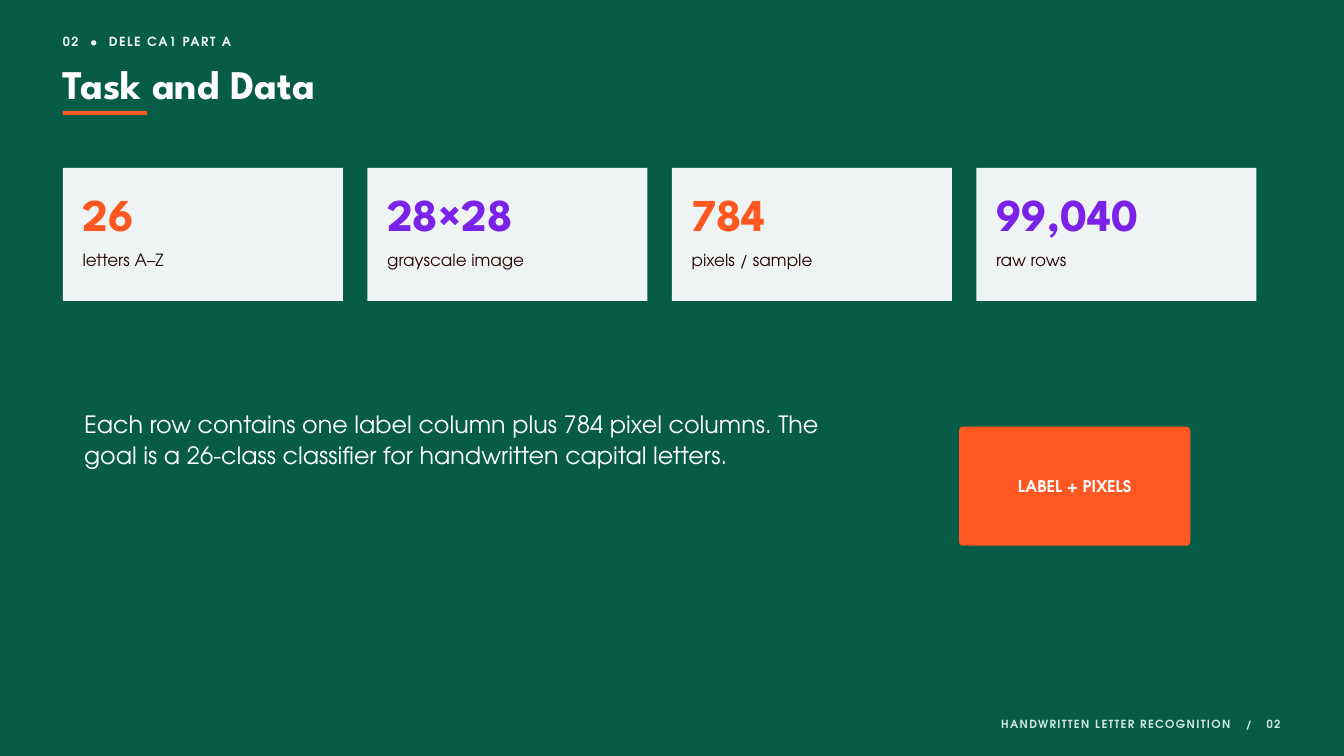
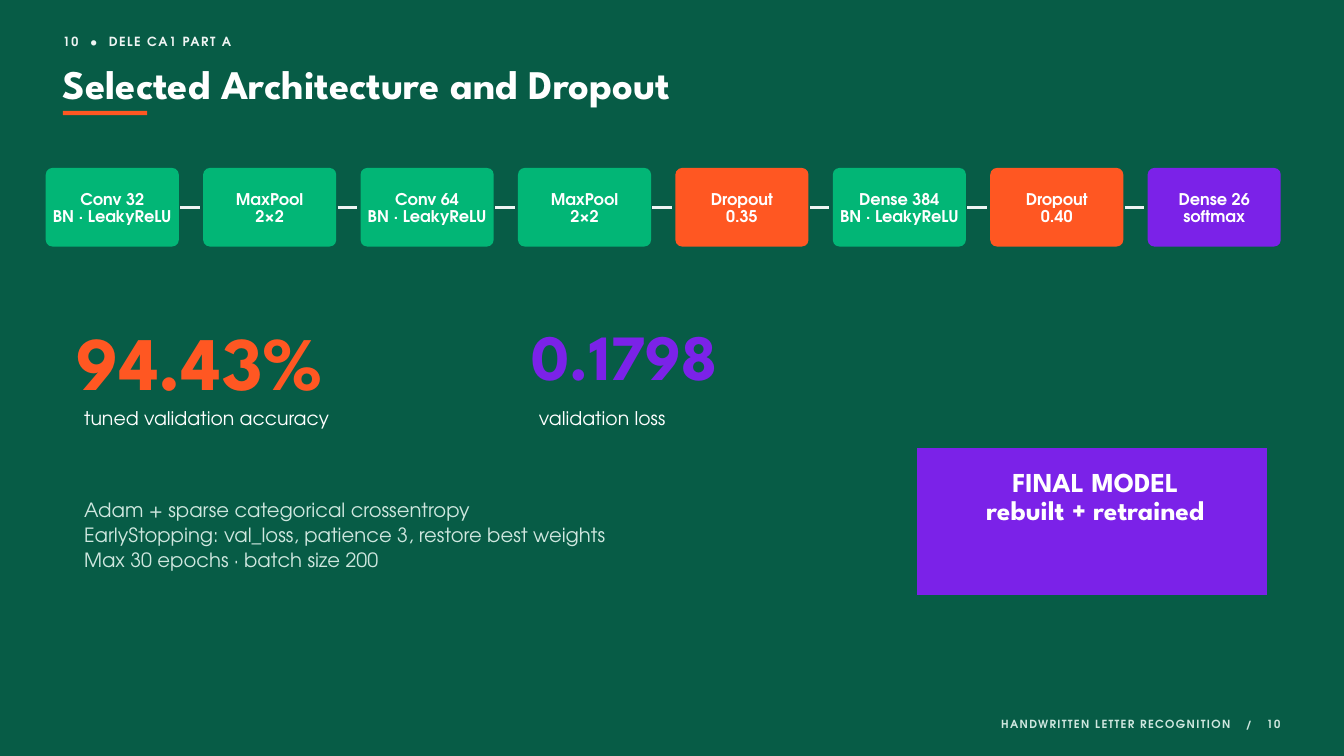
from pptx import Presentation
from pptx.enum.shapes import MSO_CONNECTOR, MSO_SHAPE
from pptx.enum.text import MSO_ANCHOR, MSO_AUTO_SIZE, PP_ALIGN
from pptx.dml.color import RGBColor
from pptx.oxml.ns import qn
from pptx.util import Cm, Pt
from lxml.etree import SubElement

FOREST, ORANGE, PURPLE, GREEN = "075C46", "FF5722", "7B22E8", "02B676"
WHITE, MIST, MINT, INK = "FFFFFF", "EEF4F3", "CFE7DF", "290606"
HEADING, BODY = "League Spartan", "TeX Gyre Adventor"
MARGIN = 2.38
INDENT = 3.18
BAND_TOP = 6.35
TITLE_ONLY = 5


def paint(fill, colour):
    fill.solid()
    fill.fore_color.rgb = RGBColor.from_string(colour)


def split_line(line, separator):
    if not separator:
        return [line]
    before, mark, after = line.partition(separator)
    return [before.strip(), " ", mark, " ", after.strip()]


def write(frame, text, size, leading, font=BODY, colour=WHITE, bold=False,
          align=PP_ALIGN.LEFT, anchor=MSO_ANCHOR.TOP, insets=(0, 0, 0, 0),
          tracking=0, separator=None, gap=0):
    frame.word_wrap = True
    frame.auto_size = MSO_AUTO_SIZE.NONE
    frame.vertical_anchor = anchor
    (frame.margin_left, frame.margin_top,
     frame.margin_right, frame.margin_bottom) = map(Cm, insets)
    for index, line in enumerate(text.split("\n")):
        paragraph = frame.add_paragraph() if index else frame.paragraphs[0]
        paragraph.alignment = align
        paragraph.line_spacing = Pt(leading)
        for piece in split_line(line, separator):
            run = paragraph.add_run()
            run.text = piece
            run.font.name = font
            run.font.size = Pt(size)
            run.font.bold = bold
            paint(run.font.fill, colour)
            spacing = gap if piece == " " else tracking
            if spacing:
                run.font._element.set("spc", str(round(spacing * 100)))


def add_text(slide, left, top, width, height, text, **style):
    box = slide.shapes.add_textbox(Cm(left), Cm(top), Cm(width), Cm(height))
    write(box.text_frame, text, **style)


def add_block(slide, left, top, width, height, colour, radius=0):
    preset = MSO_SHAPE.ROUNDED_RECTANGLE if radius else MSO_SHAPE.RECTANGLE
    block = slide.shapes.add_shape(preset, Cm(left), Cm(top), Cm(width), Cm(height))
    if radius:
        block.adjustments[0] = radius / min(width, height)
    block.shadow.inherit = False
    paint(block.fill, colour)
    block.line.fill.background()
    return block


def add_badge(slide, left, top, width, height, colour, radius, text):
    badge = add_block(slide, left, top, width, height, colour, radius)
    write(badge.text_frame, text, size=17.25, leading=19, bold=True,
          align=PP_ALIGN.CENTER, anchor=MSO_ANCHOR.MIDDLE,
          insets=(0.16, 0.2, 0.16, 0.12))


def add_link(slide, left, right, y):
    link = slide.shapes.add_connector(
        MSO_CONNECTOR.STRAIGHT, Cm(left), Cm(y), Cm(right), Cm(y))
    link.line.width = Pt(3)
    paint(link.line.fill, MIST)
    SubElement(link._element.spPr, qn("a:effectLst"))


def add_card(slide, left, number, label, colour):
    add_block(slide, left, BAND_TOP, 10.58, 5.03, MIST)
    add_text(slide, left + 0.74, BAND_TOP + 0.99, 9.53, 1.88, number,
             size=48.75, leading=49.7, font=HEADING, colour=colour, bold=True)
    add_text(slide, left + 0.74, BAND_TOP + 3.04, 9.53, 0.76, label,
             size=18, leading=23, colour=INK)


def add_metric(slide, left, top, width, value, size, leading, colour, label):
    add_text(slide, left, top, width, 3.05, value, size=size, leading=leading,
             font=HEADING, colour=colour, bold=True)
    add_text(slide, left + 0.28, 15.32, width - 0.28, 0.86, label,
             size=20.25, leading=25.9)


def start_slide(presentation, number, heading):
    slide = presentation.slides.add_slide(presentation.slide_layouts[TITLE_ONLY])
    add_text(slide, MARGIN, 1.19, 15.88, 0.64, f"{number} • DELE CA1 PART A",
             size=13.5, leading=18.9, colour=MIST, bold=True,
             tracking=1.62, separator="•", gap=7)
    title = slide.shapes.title
    title.left, title.top = Cm(MARGIN), Cm(2.49)
    title.width, title.height = Cm(39.67), Cm(1.63)
    write(title.text_frame, heading, size=43.5, leading=44.4, font=HEADING, bold=True)
    add_block(slide, MARGIN, 4.19, 3.18, 0.16, ORANGE)
    add_text(slide, MARGIN, 27.03, 46.02, 0.53,
             f"HANDWRITTEN LETTER RECOGNITION / {number}",
             size=12, leading=16.8, colour=MINT, bold=True, align=PP_ALIGN.RIGHT,
             tracking=1.44, separator="/", gap=10.9)
    return slide


def build_task(presentation):
    slide = start_slide(presentation, "02", "Task and Data")
    facts = [("26", "letters A–Z"), ("28×28", "grayscale image"),
             ("784", "pixels / sample"), ("99,040", "raw rows")]
    for index, (number, label) in enumerate(facts):
        add_card(slide, MARGIN + index * 11.51, number, label,
                 (ORANGE, PURPLE)[index % 2])
    add_text(slide, INDENT, 15.43, 29.64, 3.4,
             "Each row contains one label column plus 784 pixel columns. "
             "The goal is a 26-class classifier for handwritten capital letters.",
             size=25.5, leading=32.6)
    add_badge(slide, 36.25, 16.13, 8.74, 4.5, ORANGE, 0.15, "LABEL + PIXELS")


def build_architecture(presentation):
    slide = start_slide(presentation, "10", "Selected Architecture and Dropout")
    layers = [("Conv 32\nBN · LeakyReLU", GREEN), ("MaxPool\n2×2", GREEN),
              ("Conv 64\nBN · LeakyReLU", GREEN), ("MaxPool\n2×2", GREEN),
              ("Dropout\n0.35", ORANGE), ("Dense 384\nBN · LeakyReLU", GREEN),
              ("Dropout\n0.40", ORANGE), ("Dense 26\nsoftmax", PURPLE)]
    first, pitch, width = 1.73, 5.95, 5.03
    for index, (label, colour) in enumerate(layers):
        left = first + index * pitch
        if index:
            add_link(slide, left - 0.87, left - 0.13, 7.83)
        add_badge(slide, left, BAND_TOP, width, 2.97, colour, 0.25, label)
    add_metric(slide, 2.9, 12.42, 15.34, "94.43%", 81, 82.6, ORANGE,
               "tuned validation accuracy")
    add_metric(slide, 20.09, 12.4, 12.17, "0.1798", 69, 70.4, PURPLE,
               "validation loss")
    add_text(slide, INDENT, 18.77, 27.79, 2.74,
             "Adam + sparse categorical crossentropy\n"
             "EarlyStopping: val_loss, patience 3, restore best weights\n"
             "Max 30 epochs · batch size 200",
             size=21, leading=26.9, colour=MINT)
    final_model = add_block(slide, 34.67, 16.94, 13.22, 5.55, PURPLE)
    write(final_model.text_frame, "FINAL MODEL\nrebuilt + retrained",
          size=29.25, leading=29.8, font=HEADING, bold=True,
          align=PP_ALIGN.CENTER, insets=(1.58, 0.83, 1.33, 0))


def main():
    presentation = Presentation()
    presentation.slide_width, presentation.slide_height = Cm(50.8), Cm(28.58)
    paint(presentation.slide_master.background.fill, FOREST)
    build_task(presentation)
    build_architecture(presentation)
    presentation.save("out.pptx")


if __name__ == "__main__":
    main()
